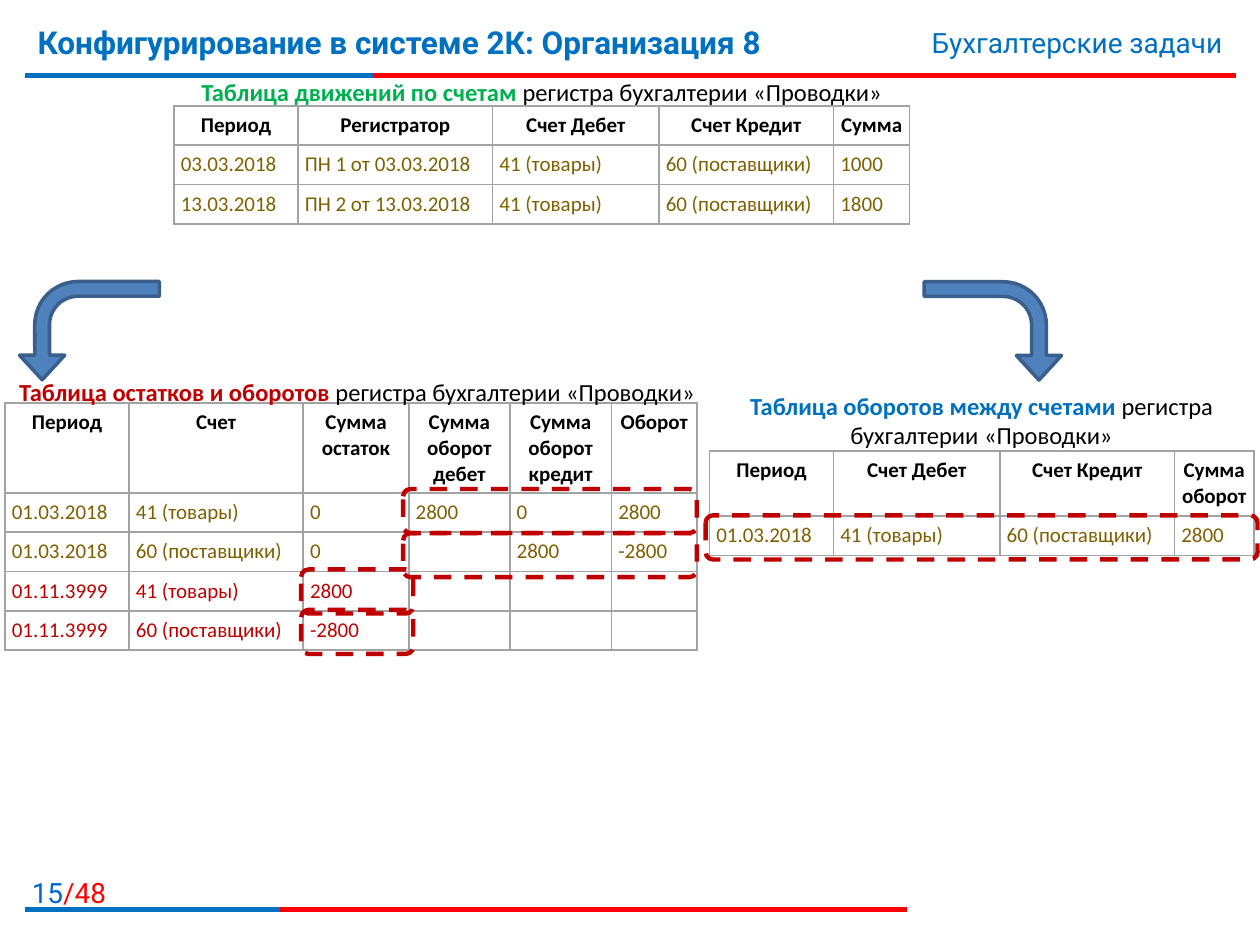
import dataclasses
import lxml.etree
import pptx
import pptx.dml.color
import pptx.enum.dml
import pptx.enum.shapes
import pptx.enum.text
import pptx.oxml.ns
import pptx.util

Pt = pptx.util.Pt
qn = pptx.oxml.ns.qn
Align = pptx.enum.text.PP_ALIGN
Form = pptx.enum.shapes.MSO_SHAPE


@dataclasses.dataclass(frozen=True)
class Theme:
    blue: str = "0070C0"
    page: str = "0066CC"
    red: str = "FF0000"
    green: str = "00B050"
    dark: str = "C00000"
    gold: str = "7F6000"
    black: str = "000000"
    grid: str = "A3A3A3"
    steel: str = "4F81BD"
    edge: str = "3A5F8C"
    head: str = "Roboto"
    body: str = "Calibri"
    title: int = 18
    side: int = 16
    label: int = 14
    cell: int = 12
    inset: float = 3.9


def rgb(code):
    return pptx.dml.color.RGBColor.from_string(code)


def assign(item, vals):
    for name, val in vals.items():
        setattr(item, name, val)


class Painter:
    def __init__(self, slide, theme):
        self.slide = slide
        self.theme = theme

    def fill_runs(self, par, runs, font, size, align):
        par.alignment = align
        for text, color, bold in runs:
            run = par.add_run()
            run.text = text
            assign(run.font, {"name": font, "size": Pt(size), "bold": bold})
            run.font.color.rgb = rgb(color)

    def text(self, box, runs, font, size, align=Align.LEFT):
        frame = self.slide.shapes.add_textbox(*map(Pt, box)).text_frame
        frame.word_wrap = True
        self.fill_runs(frame.paragraphs[0], runs, font, size, align)

    def rule(self, left, right, top, color):
        line = self.slide.shapes.add_connector(
            pptx.enum.shapes.MSO_CONNECTOR.STRAIGHT,
            Pt(left), Pt(top), Pt(right), Pt(top))
        line.line.color.rgb = rgb(color)
        line.line.width = Pt(3)
        lxml.etree.SubElement(line._element.spPr, qn("a:effectLst"))

    def border(self, cell):
        props = cell._tc.get_or_add_tcPr()
        for spot, side in enumerate(("a:lnL", "a:lnR", "a:lnT", "a:lnB")):
            line = lxml.etree.Element(qn(side), w=str(Pt(1)))
            fill = lxml.etree.SubElement(line, qn("a:solidFill"))
            lxml.etree.SubElement(fill, qn("a:srgbClr"), val=self.theme.grid)
            props.insert(spot, line)

    def table(self, left, top, cols, tall, head, rows):
        look = self.theme
        lines = [(look.black, head)] + rows
        highs = [tall] + [22.5] * len(rows)
        table = self.slide.shapes.add_table(
            len(lines), len(cols), Pt(left), Pt(top),
            Pt(sum(cols)), Pt(sum(highs))).table
        assign(table, {"first_row": False, "horz_banding": False})
        for col, wide in zip(table.columns, cols):
            col.width = Pt(wide)
        for row, high in zip(table.rows, highs):
            row.height = Pt(high)
        sides = ("left", "right", "top", "bottom")
        pads = {f"margin_{side}": Pt(look.inset) for side in sides}
        for r, (color, words) in enumerate(lines):
            for c, word in enumerate(words):
                cell = table.cell(r, c)
                assign(cell, pads)
                cell.fill.background()
                self.border(cell)
                par = cell.text_frame.paragraphs[0]
                if word:
                    self.fill_runs(par, [(word, color, r == 0)], look.body,
                                   look.cell, Align.LEFT if r else Align.CENTER)
                else:
                    lxml.etree.SubElement(par._p, qn("a:endParaRPr"),
                                          sz=str(look.cell * 100))

    def arrow(self, box, flips):
        shape = self.slide.shapes.add_shape(Form.BENT_ARROW, *map(Pt, box))
        shape.shadow.inherit = False
        shape.rotation = 270
        for spot, val in enumerate((0.15, 0.23, 0.25, 0.44)):
            shape.adjustments[spot] = val
        for flip in flips:
            shape._element.spPr.find(qn("a:xfrm")).set(flip, "1")
        shape.fill.solid()
        shape.fill.fore_color.rgb = rgb(self.theme.steel)
        shape.line.color.rgb = rgb(self.theme.edge)
        shape.line.width = Pt(2)

    def frame(self, left, top, wide):
        shape = self.slide.shapes.add_shape(
            Form.ROUNDED_RECTANGLE, Pt(left), Pt(top), Pt(wide), Pt(25.2))
        shape.shadow.inherit = False
        shape.fill.background()
        shape.line.color.rgb = rgb(self.theme.dark)
        assign(shape.line, {"width": Pt(2.5),
                            "dash_style": pptx.enum.dml.MSO_LINE.DASH})


def main():
    deck = pptx.Presentation()
    assign(deck, {"slide_width": Pt(720), "slide_height": Pt(540)})
    look = Theme()
    art = Painter(deck.slides.add_slide(deck.slide_layouts[6]), look)

    for top, split, right in ((43.2, 213.1, 706.3), (519.8, 159.8, 518.4)):
        art.rule(14.4, right, top, look.red)
        art.rule(14.4, split, top, look.blue)
    art.text((3.6, 496.8, 64.1, 23),
             [("15", look.page, False), ("/48", look.red, False)],
             look.head, look.side, Align.RIGHT)
    art.text((14.4, 9.4, 532.8, 44.6),
             [("Конфигурирование в системе 2К: Организация 8", look.blue, True)],
             look.head, look.title)
    art.text((427.7, 10.8, 277.9, 26.6),
             [("Бухгалтерские задачи", look.blue, False)],
             look.head, look.side, Align.RIGHT)

    date, debit, credit = "Период", "Счет Дебет", "Счет Кредит"
    goods, firms = "41 (товары)", "60 (поставщики)"
    start, end = "01.03.2018", "01.11.3999"
    art.table(405.4, 257.8, (70.9, 95.1, 99.8, 45.4), 37.1,
              (date, debit, credit, "Сумма оборот"),
              [(look.gold, (start, goods, firms, "2800"))])
    art.table(2.9, 230.4, (70.9, 99.5, 60.4, 57.7, 58.1, 48.9), 51.2,
              (date, "Счет", "Сумма остаток", "Сумма оборот дебет",
               "Сумма оборот кредит", "Оборот"),
              [(look.gold, (start, goods, "0", "2800", "0", "2800")),
               (look.gold, (start, firms, "0", "", "2800", "-2800")),
               (look.dark, (end, goods, "2800", "", "", "")),
               (look.dark, (end, firms, "-2800", "", "", ""))])
    art.table(99.4, 60.5, (70.9, 111.2, 95.1, 99.8, 43.5), 22.5,
              (date, "Регистратор", debit, credit, "Сумма"),
              [(look.gold, ("03.03.2018", "ПН 1 от 03.03.2018",
                            goods, firms, "1000")),
               (look.gold, ("13.03.2018", "ПН 2 от 13.03.2018",
                            goods, firms, "1800"))])

    for box, name, color in (
            ((100.1, 40.3, 419, 24.5), "Таблица движений по счетам", look.green),
            ((2.9, 211.7, 402.5, 24.5), "Таблица остатков и оборотов", look.dark),
            ((405.4, 219.6, 311, 41.8), "Таблица оборотов между счетами", look.blue)):
        art.text(box, [(name, color, True),
                       (" регистра бухгалтерии «Проводки»", look.black, False)],
                 look.body, look.label, Align.CENTER)

    art.arrow((23, 149, 56.2, 79.9), ("flipH",))
    for left, top, wide in ((230.4, 279.4, 167.8), (230.4, 304.6, 167.8),
                            (172.1, 325.4, 64.1), (172.1, 348.5, 64.1),
                            (403.2, 294.5, 315.4)):
        art.frame(left, top, wide)
    art.arrow((539.3, 149.8, 56.2, 78.5), ("flipH", "flipV"))
    deck.save("out.pptx")


if __name__ == "__main__":
    main()
